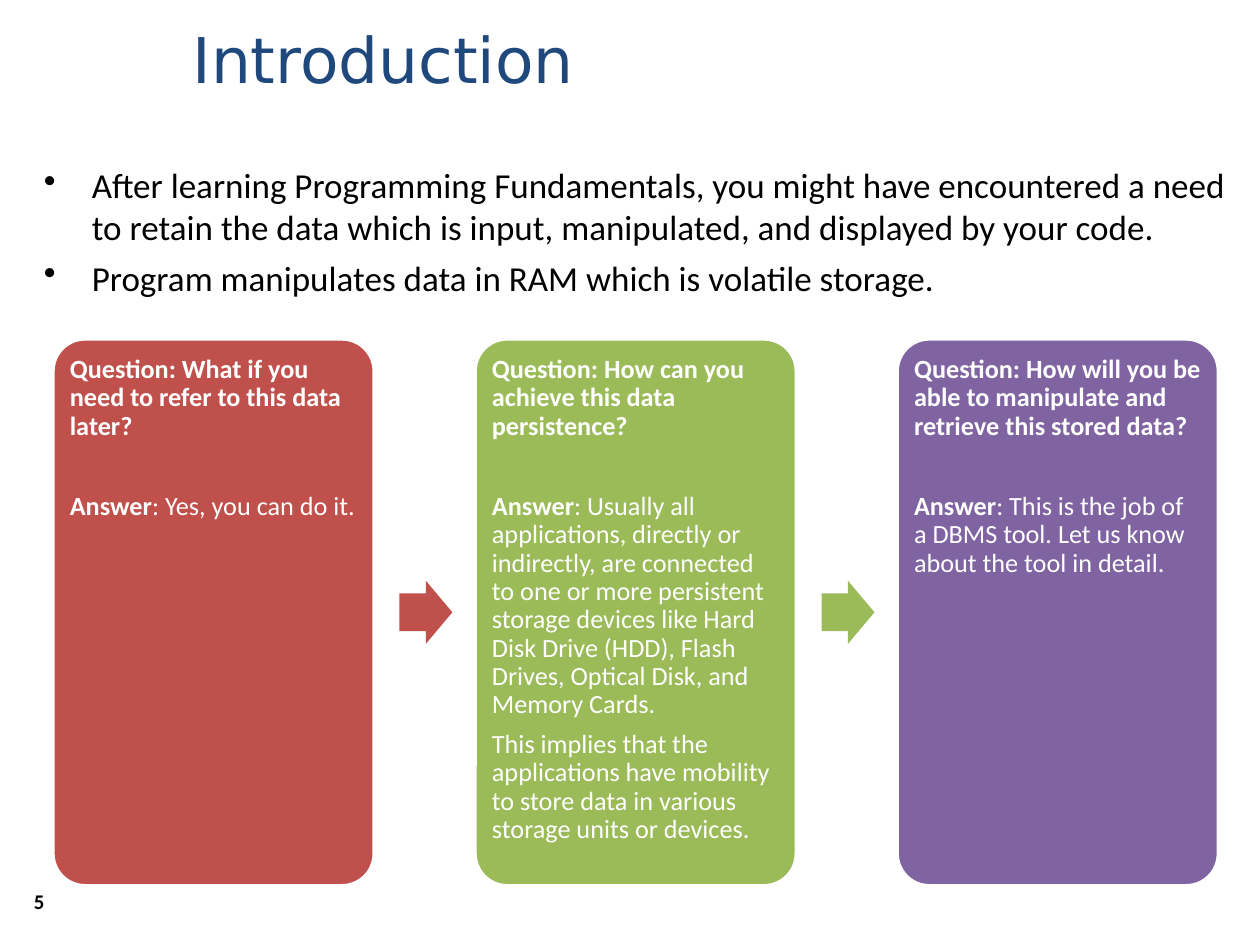
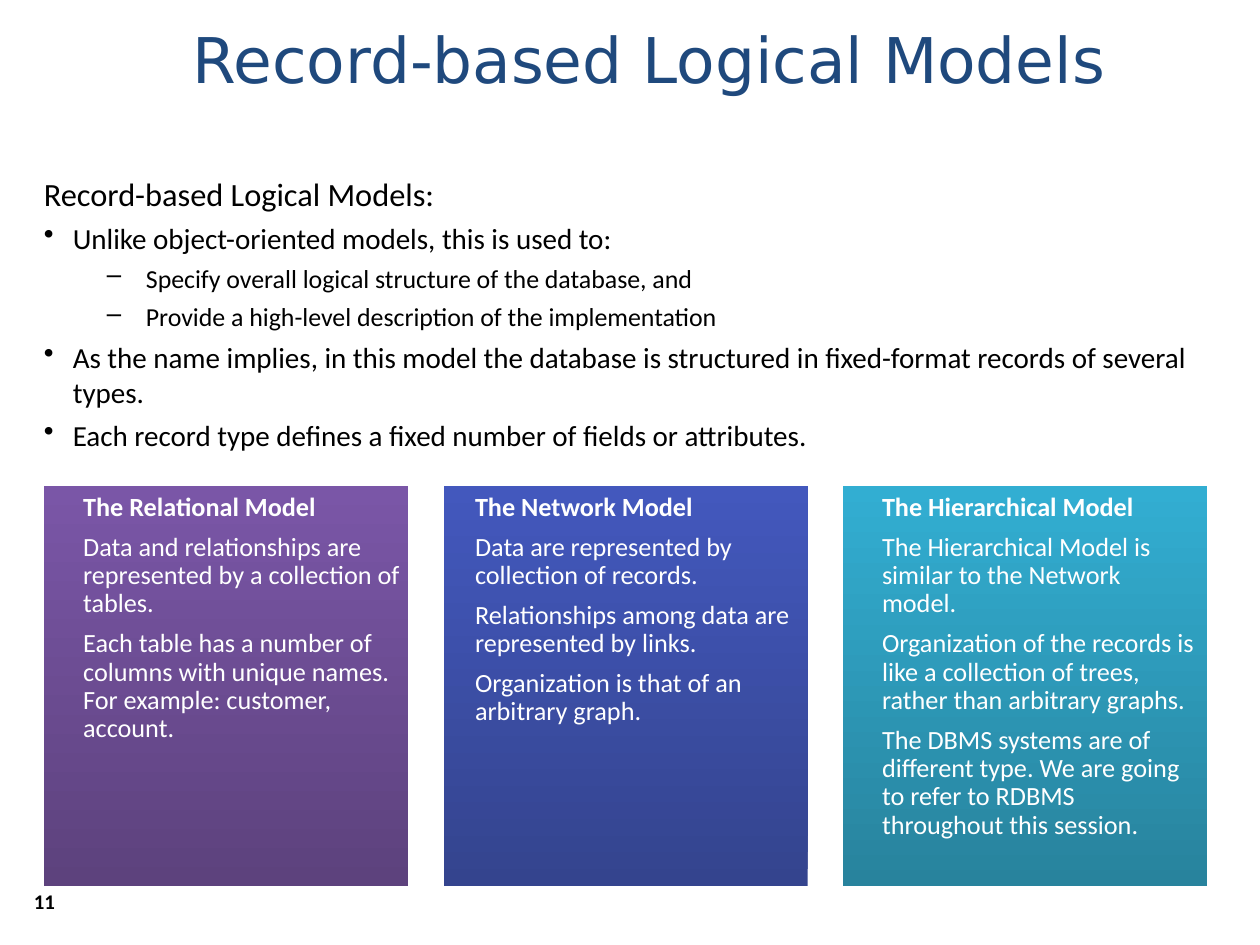
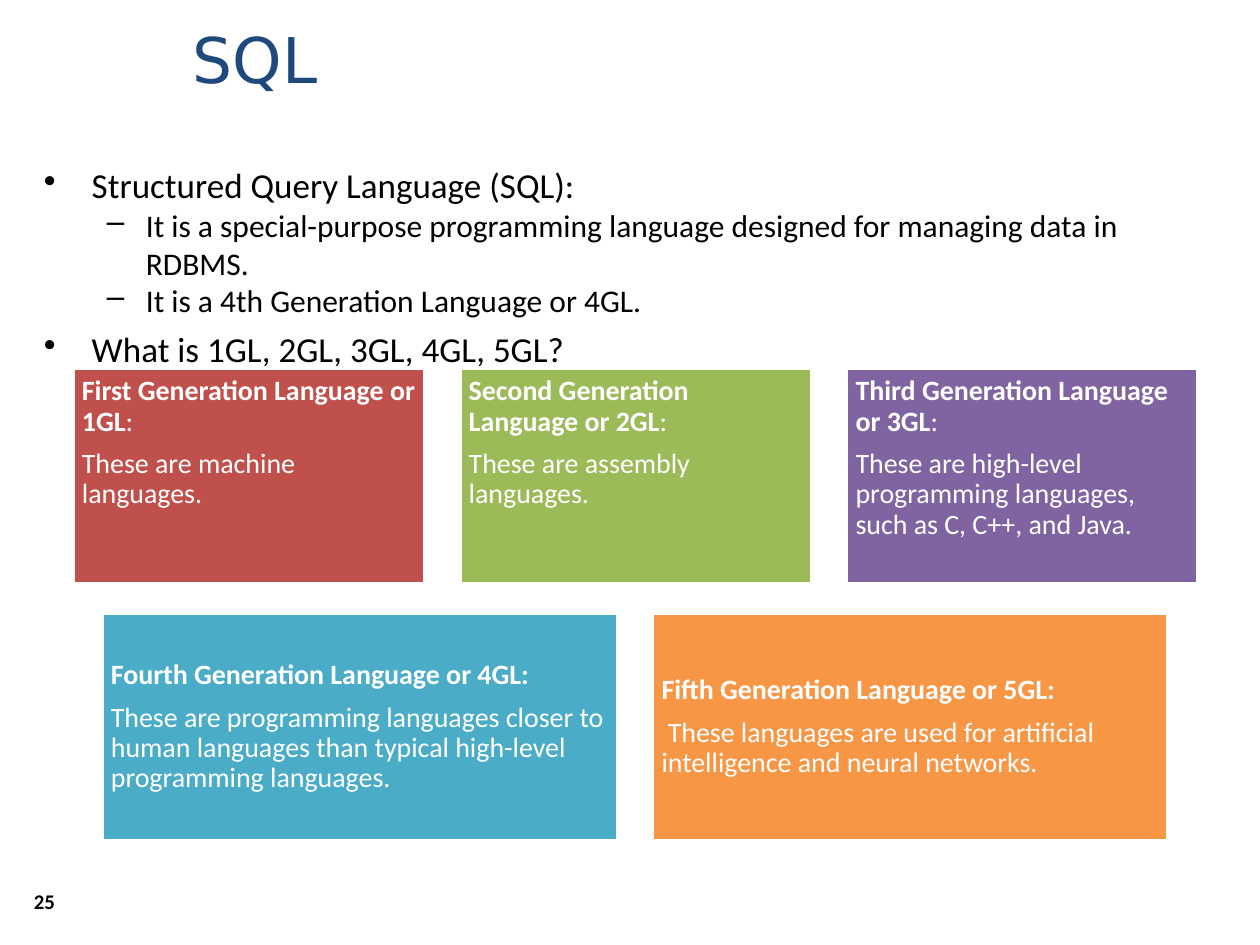
from dataclasses import dataclass
from typing import NamedTuple

from lxml.etree import SubElement
from pptx import Presentation
from pptx.dml.color import RGBColor
from pptx.enum.shapes import MSO_SHAPE
from pptx.enum.text import MSO_ANCHOR, PP_ALIGN
from pptx.oxml.ns import qn
from pptx.util import Inches, Pt


@dataclass(frozen=True)
class Theme:
    title_font: str = "DejaVu Sans"
    body_font: str = "Calibri"
    title: str = "1F497D"
    ink: str = "000000"
    white: str = "FFFFFF"
    red: str = "C0504C"
    green: str = "9BBB59"
    purple: str = "8064A2"
    teal: str = "4AACC6"
    orange: str = "F79645"
    violet_fade: tuple[str, str] = ("5D427D", "7A56A7")
    blue_fade: tuple[str, str] = ("34448E", "4358BD")
    cyan_fade: tuple[str, str] = ("28839D", "32AED2")
    title_size: float = 36
    number_size: float = 11.9
    card_size: float = 15
    generation_size: float = 16
    card_spacing: float = 0.9
    outline: float = 2


THEME = Theme()


class Area(NamedTuple):
    left: float
    top: float
    width: float
    height: float


class Level(NamedTuple):
    size: float
    before: float
    bullet: str = ""
    left: float = 0
    hanging: float = 0
    depth: int = 0


class Item(NamedTuple):
    level: Level
    text: str


class Span(NamedTuple):
    text: str
    bold: bool = False


class CardPara(NamedTuple):
    spans: list[Span]
    after: float = 6.5
    first_indent: float = 0


@dataclass(frozen=True)
class CardStyle:
    shape: MSO_SHAPE
    size: float
    inset: float
    outlined: bool = True
    anchor: MSO_ANCHOR = MSO_ANCHOR.TOP


@dataclass(frozen=True)
class Card:
    fill: str | tuple[str, str]
    paras: list[CardPara]
    indent: float = 0


POINT = Level(20, 5, "•", 0.38, 0.38)
SUBPOINT = Level(18, 0, "–", 0.81, 0.31, 1)
LEAD = Level(18.5, 5)
SMALL_POINT = Level(16.6, 4.5, "•", 0.23, 0.23)
SMALL_SUBPOINT = Level(14.8, 4, "–", 0.81, 0.31, 1)

QUESTION_STYLE = CardStyle(MSO_SHAPE.ROUNDED_RECTANGLE, THEME.card_size, 0.06)
MODEL_STYLE = CardStyle(MSO_SHAPE.RECTANGLE, THEME.card_size, 0.06, outlined=False)
EARLY_STYLE = CardStyle(MSO_SHAPE.RECTANGLE, THEME.generation_size, 0.07)
LATE_STYLE = CardStyle(MSO_SHAPE.RECTANGLE, THEME.generation_size, 0.07,
                       anchor=MSO_ANCHOR.MIDDLE)


def rgb(value: str) -> RGBColor:
    return RGBColor.from_string(value)


def inches(area: Area) -> list[int]:
    return [Inches(length) for length in area]


def set_font(para, name: str, size: float, color: str, bold: bool | None = None) -> None:
    para.font.name = name
    para.font.size = Pt(size)
    para.font.color.rgb = rgb(color)
    para.font.bold = bold


def set_indent(para, left: float, first: float) -> None:
    properties = para._p.get_or_add_pPr()
    properties.set("marL", str(Inches(left)))
    properties.set("indent", str(Inches(first)))


def add_bullet(para, symbol: str) -> None:
    properties = para._p.get_or_add_pPr()
    color = SubElement(properties, qn("a:buClr"))
    SubElement(color, qn("a:srgbClr"), val=THEME.ink)
    SubElement(properties, qn("a:buChar"), char=symbol)


def add_text_box(page, area: Area):
    frame = page.shapes.add_textbox(*inches(area)).text_frame
    frame.word_wrap = True
    return frame


def next_para(frame, index: int):
    return frame.add_paragraph() if index else frame.paragraphs[0]


def add_page(deck, title: str, number: int, body: Area, items: list[Item]):
    page = deck.slides.add_slide(deck.slide_layouts[6])
    frame = add_text_box(page, body)
    for index, (level, text) in enumerate(items):
        para = next_para(frame, index)
        para.text = text
        para.level = level.depth
        set_indent(para, level.left, -level.hanging)
        if index:
            para.space_before = Pt(level.before)
        if level.bullet:
            add_bullet(para, level.bullet)
        set_font(para, THEME.body_font, level.size, THEME.ink)

    frame = add_text_box(page, Area(1.43, 0, 8.57, 0.92))
    frame.vertical_anchor = MSO_ANCHOR.MIDDLE
    frame.text = title
    set_font(frame.paragraphs[0], THEME.title_font, THEME.title_size, THEME.title)

    frame = add_text_box(page, Area(0.17, 7.03, 0.5, 0.3))
    frame.text = str(number)
    frame.paragraphs[0].line_spacing = THEME.card_spacing
    set_font(frame.paragraphs[0], THEME.body_font, THEME.number_size, THEME.ink, True)
    return page


def paint(shape, fill: str | tuple[str, str]) -> None:
    shape.shadow.inherit = False
    shape.line.fill.background()
    if isinstance(fill, str):
        shape.fill.solid()
        shape.fill.fore_color.rgb = rgb(fill)
        return
    shape.fill.gradient()
    shape.fill.gradient_angle = 90
    for stop, color in zip(shape.fill.gradient_stops, fill):
        stop.color.rgb = rgb(color)


def add_card(page, area: Area, card: Card, style: CardStyle) -> None:
    shape = page.shapes.add_shape(style.shape, *inches(area))
    paint(shape, card.fill)
    if style.shape == MSO_SHAPE.ROUNDED_RECTANGLE:
        shape.adjustments[0] = 0.1
    if style.outlined:
        shape.line.color.rgb = rgb(THEME.white)
        shape.line.width = Pt(THEME.outline)
    frame = shape.text_frame
    frame.word_wrap = True
    frame.vertical_anchor = style.anchor
    frame.margin_left = frame.margin_right = Inches(style.inset)
    frame.margin_top = frame.margin_bottom = Inches(style.inset)
    for index, content in enumerate(card.paras):
        para = next_para(frame, index)
        para.alignment = PP_ALIGN.LEFT
        para.line_spacing = THEME.card_spacing
        para.space_after = Pt(content.after)
        set_indent(para, card.indent, content.first_indent)
        mixed = len(content.spans) > 1
        for span in content.spans:
            run = para.add_run()
            run.text = span.text
            if mixed:
                run.font.bold = span.bold
        set_font(para, THEME.body_font, style.size, THEME.white,
                 None if mixed else content.spans[0].bold)


def add_row(page, first: Area, gap: float, cards: list[Card], style: CardStyle) -> None:
    for index, card in enumerate(cards):
        left = first.left + index * (first.width + gap)
        add_card(page, first._replace(left=left), card, style)


def add_arrow(page, area: Area, fill: str) -> None:
    arrow = page.shapes.add_shape(MSO_SHAPE.RIGHT_ARROW, *inches(area))
    arrow.adjustments[0] = 0.6
    arrow.adjustments[1] = 0.5
    paint(arrow, fill)


def question_card(fill: str, question: str, answer: str, *more: str) -> Card:
    return Card(fill, [
        CardPara([Span(f"Question: {question}", True)], after=29.5),
        CardPara([Span("Answer", True), Span(f": {answer}")]),
        *(CardPara([Span(text)]) for text in more),
    ])


def model_card(fill: tuple[str, str], indent: float, name: str, *facts: str) -> Card:
    heading = CardPara([Span(name, True)])
    return Card(fill, [heading, *(CardPara([Span(fact)]) for fact in facts)], indent)


def generation_card(fill: str, heading: list[Span], text: str, first_indent: float = 0) -> Card:
    return Card(fill, [CardPara(heading, 7), CardPara([Span(text)], 7, first_indent)])


def early_card(fill: str, name: str, text: str) -> Card:
    return generation_card(fill, [Span(name, True), Span(":")], text)


def build_introduction(deck) -> None:
    page = add_page(deck, "Introduction", 5, Area(0.25, 1.25, 9.58, 5.92), [
        Item(POINT, "After learning Programming Fundamentals, you might have encountered a need "
                    "to retain the data which is input, manipulated, and displayed by your code."),
        Item(POINT, "Program manipulates data in RAM which is volatile storage."),
    ])
    first, gap = Area(0.42, 2.69, 2.55, 4.34), 0.8
    cards = [
        question_card(THEME.red, "What if you need to refer to this data later?",
                      "Yes, you can do it."),
        question_card(THEME.green, "How can you achieve this data persistence?",
                      "Usually all applications, directly or indirectly, are connected to one "
                      "or more persistent storage devices like Hard Disk Drive (HDD), Flash "
                      "Drives, Optical Disk, and Memory Cards.",
                      "This implies that the applications have mobility to store data in "
                      "various storage units or devices."),
        question_card(THEME.purple,
                      "How will you be able to manipulate and retrieve this stored data?",
                      "This is the job of a DBMS tool. Let us know about the tool in detail."),
    ]
    add_row(page, first, gap, cards, QUESTION_STYLE)
    for index, card in enumerate(cards[:-1]):
        left = 3.17 + index * (first.width + gap)
        add_arrow(page, Area(left, 4.61, 0.42, 0.5), card.fill)


def build_models(deck) -> None:
    page = add_page(deck, "Record-based Logical Models", 11, Area(0.25, 1.33, 9.5, 2.33), [
        Item(LEAD, "Record-based Logical Models:"),
        Item(SMALL_POINT, "Unlike object-oriented models, this is used to:"),
        Item(SMALL_SUBPOINT, "Specify overall logical structure of the database, and"),
        Item(SMALL_SUBPOINT, "Provide a high-level description of the implementation"),
        Item(SMALL_POINT, "As the name implies, in this model the database is structured in "
                          "fixed-format records of several types."),
        Item(SMALL_POINT, "Each record type defines a fixed number of fields or attributes."),
    ])
    add_row(page, Area(0.35, 3.86, 2.89, 3.17), 0.28, [
        model_card(THEME.violet_fade, 0.25, "The Relational Model",
                   "Data and relationships are represented by a collection of tables.",
                   "Each table has a number of columns with unique names. "
                   "For example: customer, account."),
        model_card(THEME.blue_fade, 0.19, "The Network Model",
                   "Data are represented by collection of records.",
                   "Relationships among data are represented by links.",
                   "Organization is that of an arbitrary graph."),
        model_card(THEME.cyan_fade, 0.25, "The Hierarchical Model",
                   "The Hierarchical Model is similar to the Network model.",
                   "Organization of the records is like a collection of trees, "
                   "rather than arbitrary graphs.",
                   "The DBMS systems are of different type. We are going to refer to RDBMS "
                   "throughout this session."),
    ], MODEL_STYLE)


def build_sql(deck) -> None:
    page = add_page(deck, "SQL", 25, Area(0.25, 1.25, 9.5, 2.25), [
        Item(POINT, "Structured Query Language (SQL):"),
        Item(SUBPOINT, "It is a special-purpose programming language designed for managing "
                       "data in RDBMS."),
        Item(SUBPOINT, "It is a 4th Generation Language or 4GL."),
        Item(POINT, "What is 1GL, 2GL, 3GL, 4GL, 5GL?"),
    ])
    add_row(page, Area(0.58, 2.92, 2.79, 1.71), 0.28, [
        early_card(THEME.red, "First Generation Language or 1GL",
                   "These are machine languages."),
        early_card(THEME.green, "Second Generation Language or 2GL",
                   "These are assembly languages."),
        early_card(THEME.purple, "Third Generation Language or 3GL",
                   "These are high-level programming languages, such as C, C++, and Java."),
    ], EARLY_STYLE)
    add_row(page, Area(0.81, 4.87, 4.09, 1.8), 0.28, [
        generation_card(THEME.teal, [Span("Fourth Generation Language or 4GL:", True)],
                        "These are programming languages closer to human languages than "
                        "typical high-level programming languages."),
        generation_card(THEME.orange, [Span("Fifth Generation Language or 5GL:", True)],
                        "These languages are used for artificial intelligence and neural "
                        "networks.", first_indent=0.05),
    ], LATE_STYLE)


def main() -> None:
    deck = Presentation()
    deck.slide_width = Inches(10)
    deck.slide_height = Inches(7.5)
    build_introduction(deck)
    build_models(deck)
    build_sql(deck)
    deck.save("out.pptx")


if __name__ == "__main__":
    main()
